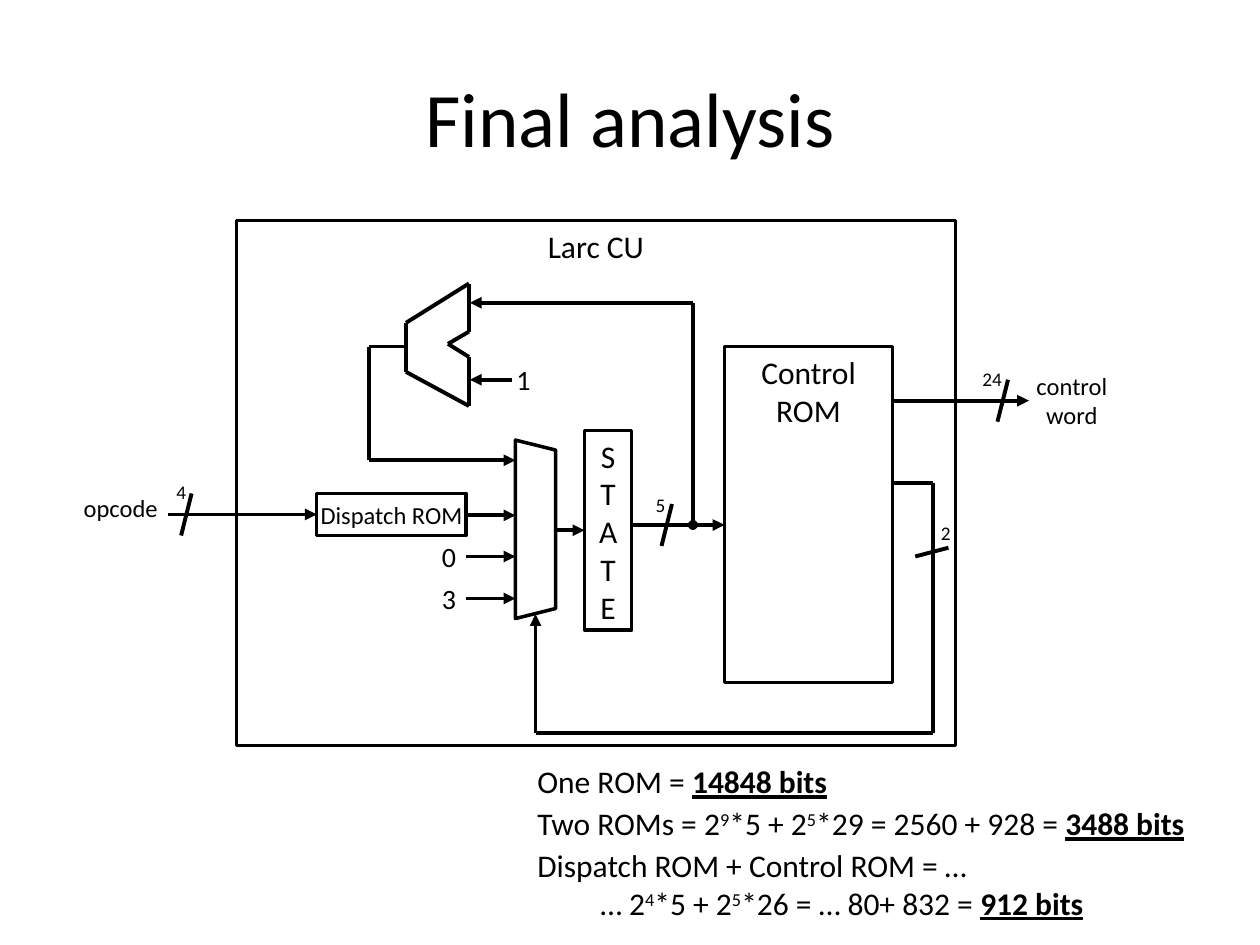
from collections import namedtuple
from itertools import pairwise

from lxml.etree import SubElement
from pptx import Presentation
from pptx.dml.color import RGBColor
from pptx.enum.shapes import MSO_CONNECTOR, MSO_SHAPE
from pptx.enum.text import MSO_ANCHOR, PP_ALIGN
from pptx.oxml.ns import qn
from pptx.util import Pt

BLACK = RGBColor(0x00, 0x00, 0x00)
WHITE = RGBColor(0xFF, 0xFF, 0xFF)
FONT = "Calibri"
WIRE_WIDTH = 2.25
POWER = "power"
TOTAL = "total"

Box = namedtuple("Box", "left top width height")


def within(region, left, top, width, height):
    """Turn a box relative to the region into a box on the slide."""
    return Box(region.left + left, region.top + top, width, height)


def write_text(shape, paragraphs, size=18, align=PP_ALIGN.CENTER,
               anchor=MSO_ANCHOR.TOP, margins=(7.2, 3.6)):
    """Fill a shape; a paragraph is a string or a list of (text, style) runs."""
    frame = shape.text_frame
    frame.word_wrap = True
    frame.vertical_anchor = anchor
    frame.margin_left = frame.margin_right = Pt(margins[0])
    frame.margin_top = frame.margin_bottom = Pt(margins[1])
    for index, content in enumerate(paragraphs):
        paragraph = frame.add_paragraph() if index else frame.paragraphs[0]
        paragraph.alignment = align
        runs = [(content, None)] if isinstance(content, str) else content
        for text, style in runs:
            run = paragraph.add_run()
            run.text = text
            run.font.name = FONT
            run.font.size = Pt(size)
            run.font.color.rgb = BLACK
            if style == TOTAL:
                run.font.bold = run.font.underline = True
            elif style == POWER:
                run.font._element.set("baseline", "30000")


def add_text(slide, box, paragraphs, **text_format):
    write_text(slide.shapes.add_textbox(*map(Pt, box)), paragraphs, **text_format)


def add_block(slide, kind, box, fill=None, line_width=2):
    shape = slide.shapes.add_shape(kind, *map(Pt, box))
    shape.shadow.inherit = False
    if fill is None:
        shape.fill.background()
    else:
        shape.fill.solid()
        shape.fill.fore_color.rgb = fill
    shape.line.color.rgb = BLACK
    shape.line.width = Pt(line_width)
    return shape


def add_wire(shapes, region, points, arrow=True):
    """Join the points by straight lines, with an arrowhead on the last one."""
    for (x1, y1), (x2, y2) in pairwise(points):
        connector = shapes.add_connector(
            MSO_CONNECTOR.STRAIGHT, Pt(region.left + x1), Pt(region.top + y1),
            Pt(region.left + x2), Pt(region.top + y2))
        connector.line.color.rgb = BLACK
        connector.line.width = Pt(WIRE_WIDTH)
        if arrow and (x2, y2) == points[-1]:
            SubElement(connector.line._get_or_add_ln(), qn("a:tailEnd"), type="triangle")
        SubElement(connector._element.spPr, qn("a:effectLst"))


def add_blocks(slide, region):
    write_text(add_block(slide, MSO_SHAPE.RECTANGLE, region), ["Larc CU"])
    control_rom = add_block(slide, MSO_SHAPE.RECTANGLE, within(region, 279, 72, 96, 192))
    write_text(control_rom, ["Control ROM"])
    state = add_block(slide, MSO_SHAPE.RECTANGLE, within(region, 199, 120, 27, 114))
    write_text(state, list("STATE"))
    dispatch_rom = add_block(slide, MSO_SHAPE.RECTANGLE, within(region, 46, 156, 85.5, 24))
    write_text(dispatch_rom, ["Dispatch ROM"], size=14,
               anchor=MSO_ANCHOR.MIDDLE, margins=(0, 0))
    multiplexer = add_block(slide, MSO_SHAPE.TRAPEZOID,
                            within(region, 120, 165, 102, 23), fill=WHITE)
    multiplexer.rotation = 90


def add_adder(slide, region):
    outline = [(0, 22.5), (0, 50.5), (36, 70), (36, 42), (24, 34.5),
               (36, 27.5), (36, 0), (0, 22.5)]
    add_wire(slide.shapes.add_group_shape().shapes, region, outline, arrow=False)


def add_signals(slide, region):
    wires = [
        [(-39, 168), (46, 168)],                                       # opcode
        [(226, 174), (279, 174)],                                      # state
        [(375, 103), (453, 103)],                                      # control word
        [(375, 150), (398, 150), (398, 293), (171, 293), (171, 225)],  # select
        [(261, 174), (261, 47), (133.5, 47)],                          # state to adder
        [(157.5, 91), (133.5, 91)],                                    # one to adder
        [(97, 72), (76, 72), (76, 137), (159.5, 137)],                 # adder output
        [(182.5, 177), (199, 177)],                                    # next state
    ]
    wires += [[(131.5, y), (159.5, y)] for y in (168.5, 192, 216)]
    for points in wires:
        add_wire(slide.shapes, region, points)
    add_block(slide, MSO_SHAPE.OVAL, within(region, 258.5, 171.5, 5, 5),
              fill=BLACK, line_width=0.75)

    for digit, left, top in (("1", 153, 83), ("0", 110.5, 184.5), ("3", 110.5, 208.5)):
        add_text(slide, within(region, left, top, 19.5, 15), [digit], size=16,
                 align=PP_ALIGN.LEFT, anchor=MSO_ANCHOR.MIDDLE)
    for name, left, top, height in (("opcode", -93, 156, 17), ("control word", 450.5, 86, 34)):
        add_text(slide, within(region, left, top, 54, height), [name],
                 size=14, margins=(0, 0))


def add_bus_widths(slide, region):
    buses = [
        ("4", (-31.5, 180), (-25.5, 156), (-40.5, 148.5, 18)),
        ("5", (243, 186), (249, 162), (237, 156, 11)),
        ("24", (435, 115), (441, 91), (423, 84, 18)),
        ("2", (388, 192), (407, 187), (400, 172, 11)),
    ]
    for bits, start, end, label in buses:
        add_wire(slide.shapes, region, [start, end], arrow=False)
        add_text(slide, within(region, *label, 13.5), [bits], size=11, margins=(0, 0))


def add_totals(slide, region):
    one_rom = [("One ROM = ", None), ("14848 bits", TOTAL)]
    two_roms = [("Two ROMs = 2", None), ("9", POWER), ("*5 + 2", None), ("5", POWER),
                ("*29 = 2560 + 928 = ", None), ("3488 bits", TOTAL)]
    split_roms = [("\t… 2", None), ("4", POWER), ("*5 + 2", None), ("5", POWER),
                  ("*26 = … 80+ 832 = ", None), ("912 bits", TOTAL)]
    rows = [(215, 29, [one_rom]), (region.width, 29, [two_roms]),
            (region.width, 51, ["Dispatch ROM + Control ROM = …", split_roms])]
    for index, (width, height, paragraphs) in enumerate(rows):
        add_text(slide, within(region, 0, 24 * index, width, height), paragraphs,
                 align=PP_ALIGN.LEFT)


def main():
    presentation = Presentation()
    presentation.slide_width, presentation.slide_height = Pt(720), Pt(540)
    slide = presentation.slides.add_slide(presentation.slide_layouts[6])
    add_text(slide, Box(36, 21.6, 648, 90), ["Final analysis"], size=44,
             anchor=MSO_ANCHOR.MIDDLE)
    control_unit = Box(135, 126, 411, 300)
    add_blocks(slide, control_unit)
    add_adder(slide, within(control_unit, 97, 36, 36, 70))
    add_signals(slide, control_unit)
    add_bus_widths(slide, control_unit)
    add_totals(slide, Box(300, 432, 402, 99))
    presentation.save("out.pptx")


if __name__ == "__main__":
    main()
